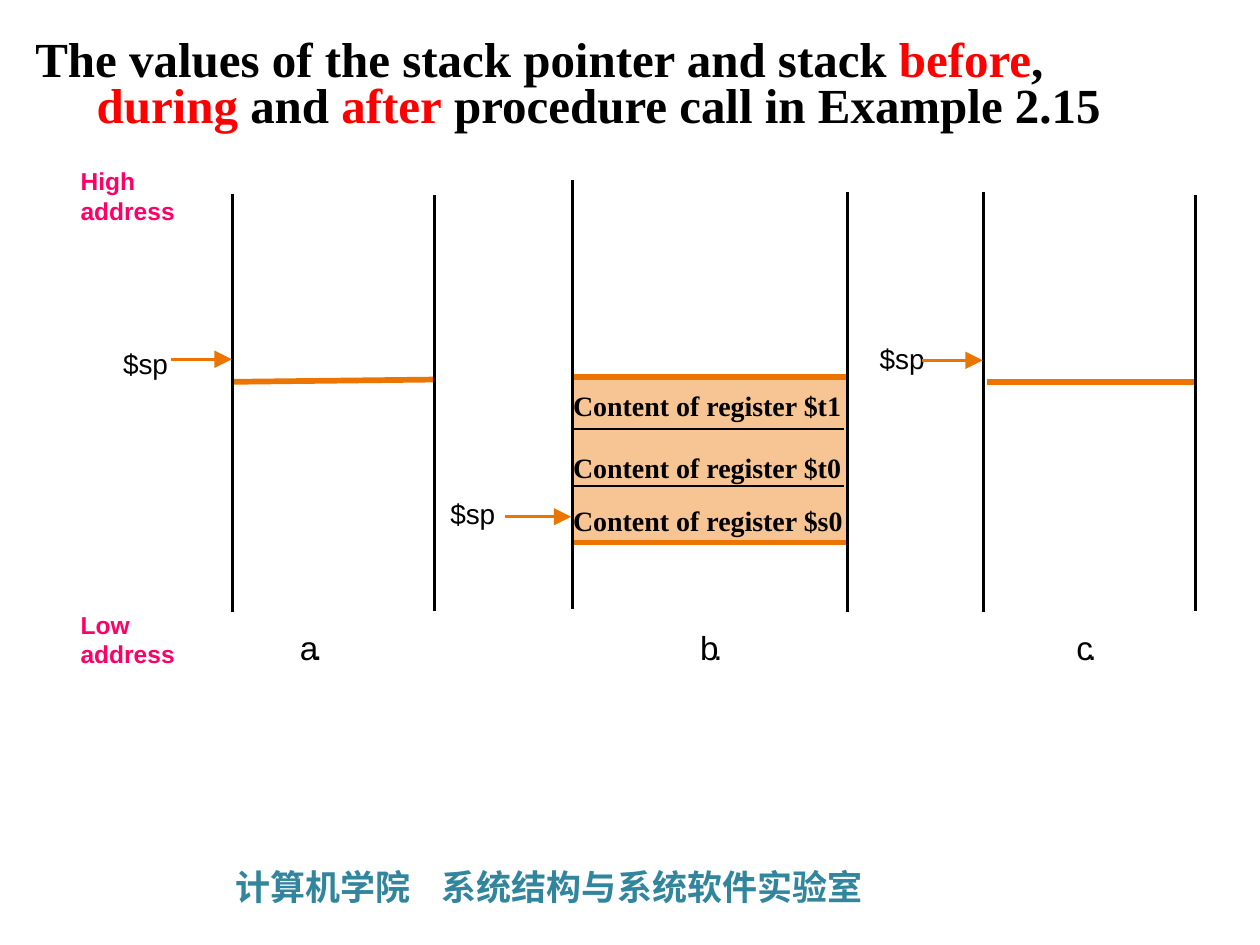
import lxml.etree
import pptx
import pptx.dml.color
import pptx.enum.shapes
import pptx.enum.text
import pptx.oxml.ns
import pptx.util

Pt = pptx.util.Pt
BLACK, RED, PINK, ORANGE, PEACH, TEAL = "000000", "FF0000", "FF0066", "EB7500", "F7C594", "31859C"


def color(value):
    return pptx.dml.color.RGBColor.from_string(value)


def add_element(parent, tag, **attributes):
    return lxml.etree.SubElement(parent, pptx.oxml.ns.qn(tag), **attributes)


class StackSlide:
    """Holds the style and the current slide of the stack diagram."""

    sans, serif, chinese = "Arial", "Times New Roman", "Noto Sans CJK SC"
    wall_width, band_width, rule_width = 1.63, 3.25, 0.88

    def __init__(self, presentation):
        self.slide = presentation.slides.add_slide(presentation.slide_layouts[5])

    def style(self, run, size, font, fill, bold):
        run.font.size = Pt(size)
        run.font.name = font
        run.font.bold = bold
        run.font.color.rgb = color(fill)

    def title(self, pieces, left, top, width, height, indent):
        shape = self.slide.shapes.title
        shape.left, shape.top, shape.width, shape.height = Pt(left), Pt(top), Pt(width), Pt(height)
        frame = shape.text_frame
        frame.text = "".join(text for text, fill in pieces)
        frame.auto_size = pptx.enum.text.MSO_AUTO_SIZE.NONE
        frame.vertical_anchor = pptx.enum.text.MSO_ANCHOR.MIDDLE
        paragraph = frame.paragraphs[0]
        paragraph.text = ""
        for text, fill in pieces:
            if text == "\v":
                paragraph.add_line_break()
                continue
            run = paragraph.add_run()
            run.text = text
            self.style(run, 28, self.serif, fill, True)
        paragraph.alignment = pptx.enum.text.PP_ALIGN.LEFT
        paragraph.line_spacing = Pt(26)
        properties = paragraph._p.get_or_add_pPr()
        properties.set("marL", str(Pt(indent)))
        properties.set("indent", str(-Pt(indent)))

    def text(self, text, left, top, width, height, size, font=sans, fill=BLACK,
             bold=False, inset=True, wrap=False, spacing=0, tab=None):
        shape = self.slide.shapes.add_textbox(Pt(left), Pt(top), Pt(width), Pt(height))
        frame = shape.text_frame
        frame.word_wrap = wrap
        if not inset:
            frame.margin_left = frame.margin_right = frame.margin_top = frame.margin_bottom = 0
        paragraph = frame.paragraphs[0]
        paragraph.text = text
        if tab:
            stops = add_element(paragraph._p.get_or_add_pPr(), "a:tabLst")
            add_element(stops, "a:tab", pos=str(Pt(tab)), algn="l")
        for run in paragraph.runs:
            self.style(run, size, font, fill, bold)
            properties = run._r.get_or_add_rPr()
            if spacing:
                properties.set("spc", str(int(spacing * 100)))
            if font == self.chinese:
                add_element(properties, "a:ea", typeface=font)

    def line(self, x1, y1, x2, y2, fill=BLACK, width=wall_width, arrow=False):
        connector = self.slide.shapes.add_connector(
            pptx.enum.shapes.MSO_CONNECTOR.STRAIGHT, Pt(x1), Pt(y1), Pt(x2), Pt(y2))
        connector.line.color.rgb = color(fill)
        connector.line.width = Pt(width)
        if arrow:
            add_element(connector.line._get_or_add_ln(), "a:tailEnd", type="triangle", w="lg", len="lg")
        add_element(connector._element.spPr, "a:effectLst")

    def block(self, left, top, width, height, fill):
        shape = self.slide.shapes.add_shape(
            pptx.enum.shapes.MSO_SHAPE.RECTANGLE, Pt(left), Pt(top), Pt(width), Pt(height))
        shape.shadow.inherit = False
        shape.fill.solid()
        shape.fill.fore_color.rgb = color(fill)
        shape.line.fill.background()

    def pointer(self, label_left, label_top, start, end, y):
        self.text("$sp", label_left, label_top, 26, 17.5, 16, inset=False)
        self.line(start, y, end, y, ORANGE, arrow=True)


def main():
    presentation = pptx.Presentation()
    presentation.slide_width, presentation.slide_height = Pt(720), Pt(540)
    page = StackSlide(presentation)

    page.text("计算机学院\t系统结构与系统软件实验室", 127.4, 491, 521.3, 31.7, 20,
              page.chinese, TEAL, True, wrap=True, tab=118)
    page.title([("The values of the stack pointer and stack ", BLACK), ("before", RED), (",", BLACK),
                ("\v", BLACK), ("during", RED), (" and ", BLACK), ("after", RED),
                (" procedure call in Example 2.15", BLACK)], 13, 5, 672.5, 90, 35)

    page.block(327.3, 215.3, 157, 95, PEACH)
    for y in (215.3, 310):
        page.line(327.3, y, 484.5, y, ORANGE, page.band_width)
    for y in (245.1, 277.8):
        page.line(327.3, y, 482.4, y, width=page.rule_width)
    page.line(133.2, 218.2, 248.4, 216.9, ORANGE, page.band_width)
    page.line(563.8, 218.2, 683.3, 218.2, ORANGE, page.band_width)

    walls = [(133.1, 110.7, 349.7), (248.2, 111.5, 349), (327.1, 102.8, 348.2),
             (484.2, 110, 349.7), (562.2, 110, 349.7), (683.1, 111.5, 349)]
    for x, top, bottom in walls:
        page.line(x, top, x, bottom)

    for left, top, start, end, y in [(70.3, 198.2, 98, 132.5, 205.3),
                                     (257.3, 284, 288.4, 326.4, 295.3),
                                     (502.6, 195.3, 527, 561.6, 205.9)]:
        page.pointer(left, top, start, end, y)

    for register, top in [("$t1", 218.5), ("$t0", 253.7), ("$s0", 284.3)]:
        page.text(f"Content of register {register}", 320.4, top, 170, 24, 16,
                  page.serif, bold=True, wrap=True)

    for label, left in [("a.", 171.4), ("b.", 400.1), ("c.", 615)]:
        page.text(label, left, 358.6, 13, 20.2, 19, inset=False, spacing=-3)

    for label, top in [("High\vaddress", 91.5), ("Low\vaddress", 345)]:
        page.text(label, 39, top, 102, 40, 14, fill=PINK, bold=True, wrap=True)

    presentation.save("out.pptx")


if __name__ == "__main__":
    main()
